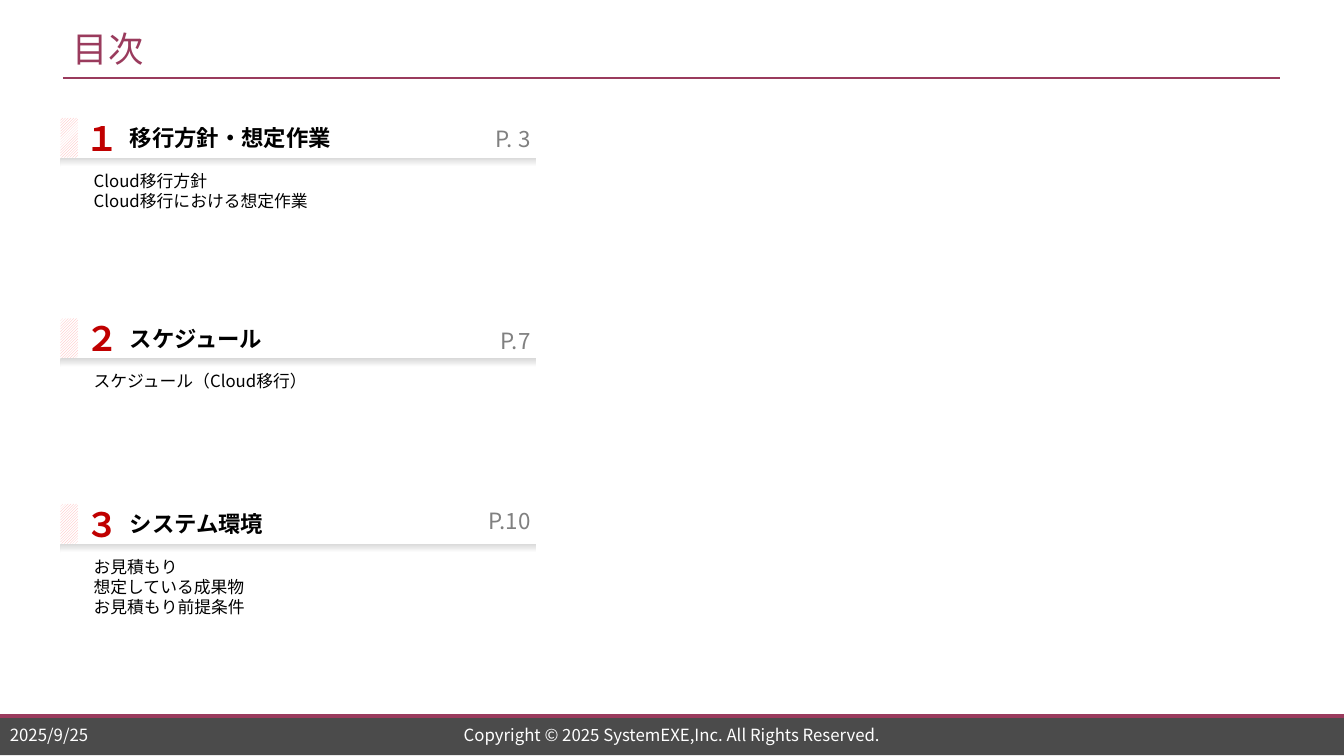
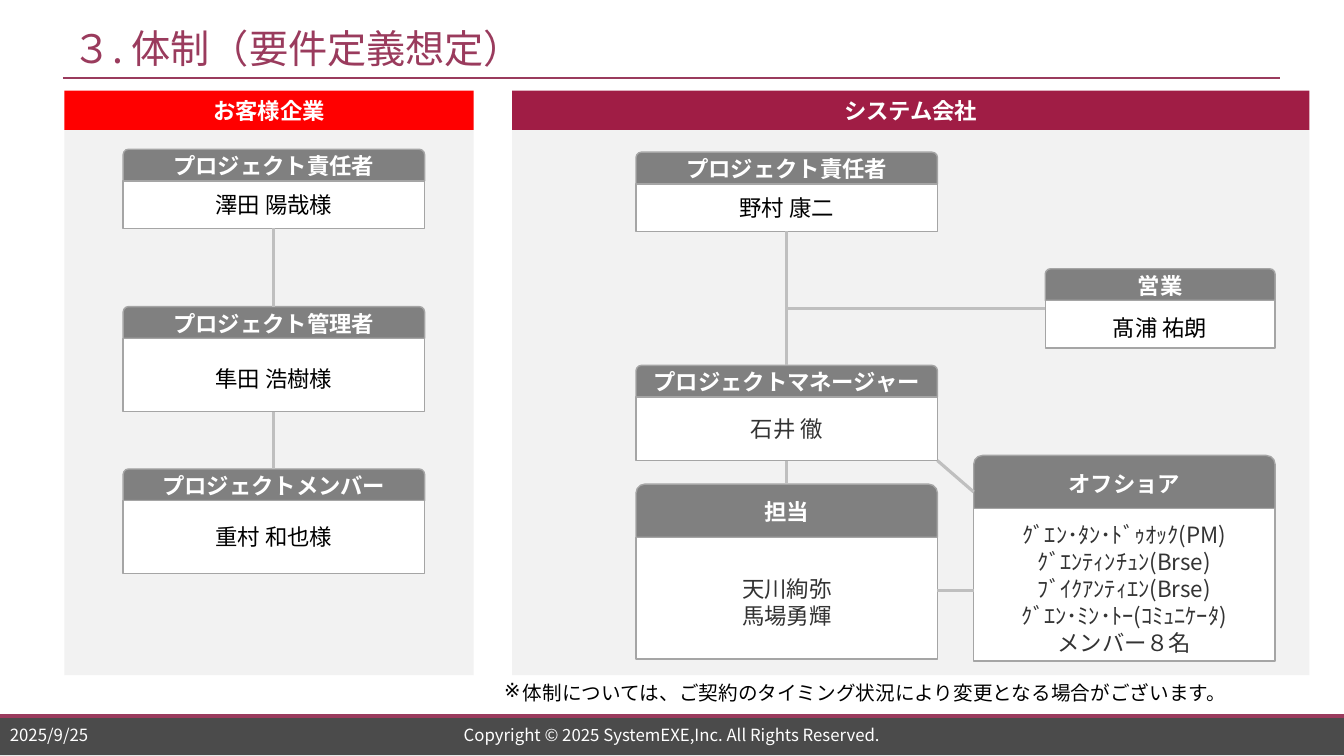
from lxml import etree
from pptx import Presentation
from pptx.dml.color import RGBColor
from pptx.enum import dml, lang, shapes, text
from pptx.oxml import ns
from pptx.util import Pt

WINE = RGBColor(0x9A, 0x3B, 0x5D)
CRIMSON = RGBColor(0xA0, 0x1D, 0x45)
RED = RGBColor(0xFF, 0x00, 0x00)
DEEP_RED = RGBColor(0xC0, 0x00, 0x00)
PINK = RGBColor(0xFF, 0xAF, 0xAF)
WHITE = RGBColor(0xFF, 0xFF, 0xFF)
BLACK = RGBColor(0x00, 0x00, 0x00)
CHARCOAL = RGBColor(0x33, 0x33, 0x33)
FOOTER_GRAY = RGBColor(0x4B, 0x4B, 0x4B)
GRAY = RGBColor(0x80, 0x80, 0x80)
BORDER_GRAY = RGBColor(0xA5, 0xA5, 0xA5)
LINK_GRAY = RGBColor(0xBF, 0xBF, 0xBF)
SHADE_GRAY = RGBColor(0xD9, 0xD9, 0xD9)
PANEL_GRAY = RGBColor(0xF2, 0xF2, 0xF2)

NOTO = "Noto Sans CJK JP"
ARIAL = "Arial"
CALIBRI = "Calibri"
LEFT, CENTER, RIGHT = (text.PP_ALIGN.LEFT, text.PP_ALIGN.CENTER,
                       text.PP_ALIGN.RIGHT)
TOP, MIDDLE = text.MSO_ANCHOR.TOP, text.MSO_ANCHOR.MIDDLE

SLIDE_W, SLIDE_H = 960, 540
FOOTER_TOP = 511.5
PANEL_TOP, PANEL_HEAD_H, PANEL_BODY_H = 64.8, 28, 389.5
CARD_W = 215.3


def add_bullet(paragraph, mark, indent):
    properties = paragraph._p.get_or_add_pPr()
    properties.set("marL", str(Pt(indent)))
    properties.set("indent", str(-Pt(indent)))
    etree.SubElement(properties, ns.qn("a:buChar")).set("char", mark)


def write(shape, content, size=16, color=BLACK, font=NOTO, bold=False,
          align=LEFT, anchor=MIDDLE, insets=(7.2, 3.6, 7.2, 3.6), bullet=None):
    frame = shape.text_frame
    frame.word_wrap = True
    frame.vertical_anchor = anchor
    (frame.margin_left, frame.margin_top,
     frame.margin_right, frame.margin_bottom) = map(Pt, insets)
    for index, line in enumerate(content.split("\n")):
        paragraph = frame.add_paragraph() if index else frame.paragraphs[0]
        paragraph.alignment = align
        paragraph.line_spacing = Pt(size * 1.2)
        if bullet:
            add_bullet(paragraph, bullet, 13.5)
        run = paragraph.add_run()
        run.text = line
        run.font.size = Pt(size)
        run.font.bold = bold
        run.font.color.rgb = color
        run.font.name = font
        run.font.language_id = lang.MSO_LANGUAGE_ID.JAPANESE
        east_asian = etree.SubElement(run._r.get_or_add_rPr(), ns.qn("a:ea"))
        east_asian.set("typeface", NOTO)


def add_label(slide, left, top, width, height, content, **text_format):
    label = slide.shapes.add_textbox(Pt(left), Pt(top), Pt(width), Pt(height))
    write(label, content, **text_format)


def add_block(slide, left, top, width, height, fill=None, border=None,
              kind=shapes.MSO_SHAPE.RECTANGLE):
    block = slide.shapes.add_shape(kind, Pt(left), Pt(top), Pt(width), Pt(height))
    block.shadow.inherit = False
    if fill is not None:
        block.fill.solid()
        block.fill.fore_color.rgb = fill
    if border is None:
        block.line.fill.background()
    else:
        block.line.color.rgb = border
        block.line.width = Pt(1)
    return block


def add_line(slide, x1, y1, x2, y2, color=LINK_GRAY, width=2.25):
    line = slide.shapes.add_connector(
        shapes.MSO_CONNECTOR.STRAIGHT, Pt(x1), Pt(y1), Pt(x2), Pt(y2))
    line.line.color.rgb = color
    line.line.width = Pt(width)
    etree.SubElement(line._element.spPr, ns.qn("a:effectLst"))
    return line


def add_base_slide(deck, title, title_size):
    slide = deck.slides.add_slide(deck.slide_layouts[6])
    add_block(slide, 0, FOOTER_TOP, SLIDE_W, 28, FOOTER_GRAY)
    add_line(slide, 0, FOOTER_TOP, SLIDE_W, FOOTER_TOP, WINE, 2.75)
    add_line(slide, 45, 56, 914.4, 56, WINE, 1.5)
    add_label(slide, 45, 14.4, 869, 40, title, size=title_size, color=WINE)
    add_label(slide, 0, 516, 113, 17.5, "2025/9/25", size=12, color=WHITE)
    add_label(slide, 239, 516, 482, 17.5,
              "Copyright © 2025 SystemEXE,Inc. All Rights Reserved.",
              size=12, color=WHITE, align=CENTER)
    return slide


def add_section(slide, top, number, heading, page, page_top, topics):
    stripe = add_block(slide, 43.2, top, 12.5, 28.4)
    stripe.fill.patterned()
    stripe.fill.pattern = dml.MSO_PATTERN.DARK_UPWARD_DIAGONAL
    stripe.fill.fore_color.rgb = PINK
    stripe.fill.back_color.rgb = WHITE
    shade = add_block(slide, 43.2, top + 28.4, 340, 6.5)
    shade.fill.gradient()
    shade.fill.gradient_angle = 270
    for stop, color in zip(shade.fill.gradient_stops, (SHADE_GRAY, WHITE)):
        stop.color.rgb = color
    add_label(slide, 54, top, 42, 28.4, number,
              size=24, color=DEEP_RED, bold=True)
    add_label(slide, 85.7, top, 240, 28.4, heading, font=ARIAL, bold=True)
    add_label(slide, 314, page_top, 72, 28.4, page, color=GRAY, align=RIGHT)
    add_label(slide, 59.8, top + 34, 325, 60, topics, size=12, anchor=TOP)


def add_panel(slide, left, width, party, color):
    add_block(slide, left, PANEL_TOP + PANEL_HEAD_H, width, PANEL_BODY_H, PANEL_GRAY)
    header = add_block(slide, left, PANEL_TOP, width, PANEL_HEAD_H, color)
    write(header, party, color=WHITE, font=ARIAL, bold=True, align=CENTER)


def add_card(slide, left, top, body_h, role, names, width=CARD_W, head_h=22.6,
             color=BLACK, font=ARIAL, top_inset=3.6):
    head = add_block(slide, left, top, width, head_h, GRAY, BORDER_GRAY,
                     shapes.MSO_SHAPE.ROUND_2_SAME_RECTANGLE)
    write(head, role, color=WHITE, font=ARIAL, bold=True, align=CENTER,
          insets=(2.9, 0, 2.9, 0))
    body = add_block(slide, left, top + head_h, width, body_h, WHITE, BORDER_GRAY)
    write(body, names, color=color, font=font, align=CENTER,
          insets=(2.9, top_inset, 2.9, 3.6))
    return body


def add_drop(slide, upper_body, lower_top):
    x = (upper_body.left + upper_body.width / 2) / Pt(1)
    bottom = (upper_body.top + upper_body.height) / Pt(1)
    drop = add_line(slide, x, bottom, x, lower_top)
    drop.begin_connect(upper_body, 2)


def build_contents(deck):
    slide = add_base_slide(deck, "目次", 25.2)
    sections = (
        (84.2, "１", "移行方針・想定作業", "P. 3", 85,
         "Cloud移行方針\nCloud移行における想定作業"),
        (227.5, "２", "スケジュール", "P.7", 229, "スケジュール（Cloud移行）"),
        (360, "３", "システム環境", "P.10", 358,
         "お見積もり\n想定している成果物\nお見積もり前提条件"),
    )
    for section in sections:
        add_section(slide, *section)


def build_organization(deck):
    slide = add_base_slide(deck, "３. 体制（要件定義想定）", 28)
    add_panel(slide, 46, 292.3, "お客様企業", RED)
    add_panel(slide, 365.8, 569.5, "システム会社", CRIMSON)

    client_x, vendor_x, offshore_x = 88, 454.3, 695.5
    client_owner = add_card(slide, client_x, 106.6, 34,
                            "プロジェクト責任者", "澤田 陽哉様")
    client_manager = add_card(slide, client_x, 219, 52.5, "プロジェクト管理者",
                              "隼田 浩樹様", top_inset=8.6)
    add_card(slide, client_x, 335, 52, "プロジェクトメンバー", "重村 和也様")
    add_drop(slide, client_owner, 219)
    add_drop(slide, client_manager, 335)

    vendor_owner = add_card(slide, vendor_x, 108.7, 34, "プロジェクト責任者",
                            "野村 康二", font=CALIBRI)
    manager = add_card(slide, vendor_x, 261, 45.4, "プロジェクトマネージャー",
                       "石井 徹", color=CHARCOAL, font=NOTO)
    add_card(slide, vendor_x, 345.8, 87, "担当", "天川絢弥\n馬場勇輝",
             head_h=38, color=CHARCOAL, font=NOTO, top_inset=8.6)
    add_card(slide, 746.6, 192, 34, "営業", "髙浦 祐朗", width=164.2,
             top_inset=8.6)
    add_card(slide, offshore_x, 325.3, 109, "オフショア",
             "ｸﾞｴﾝ･ﾀﾝ･ﾄﾞｩｵｯｸ(PM)\nｸﾞｴﾝﾃｨﾝﾁｭﾝ(Brse)\nﾌﾞｲｸｱﾝﾃｨｴﾝ(Brse)\n"
             "ｸﾞｴﾝ･ﾐﾝ･ﾄｰ(ｺﾐｭﾆｹｰﾀ)\nメンバー８名",
             head_h=38, color=CHARCOAL, font=NOTO, top_inset=8.6)

    add_drop(slide, vendor_owner, 261)
    add_drop(slide, manager, 345.8)
    vendor_right = vendor_x + CARD_W
    add_line(slide, 746.6, 220.5, vendor_x + CARD_W / 2, 220.5)
    add_line(slide, offshore_x, 351.4, vendor_right, 329)
    add_line(slide, offshore_x, 422, vendor_right, 422)

    add_label(slide, 353, 483, 562, 28,
              "体制については、ご契約のタイミング状況により変更となる場合がございます。",
              size=14, anchor=TOP, bullet="※")


def main():
    deck = Presentation()
    deck.slide_width, deck.slide_height = Pt(SLIDE_W), Pt(SLIDE_H)
    build_contents(deck)
    build_organization(deck)
    deck.save("out.pptx")


if __name__ == "__main__":
    main()
